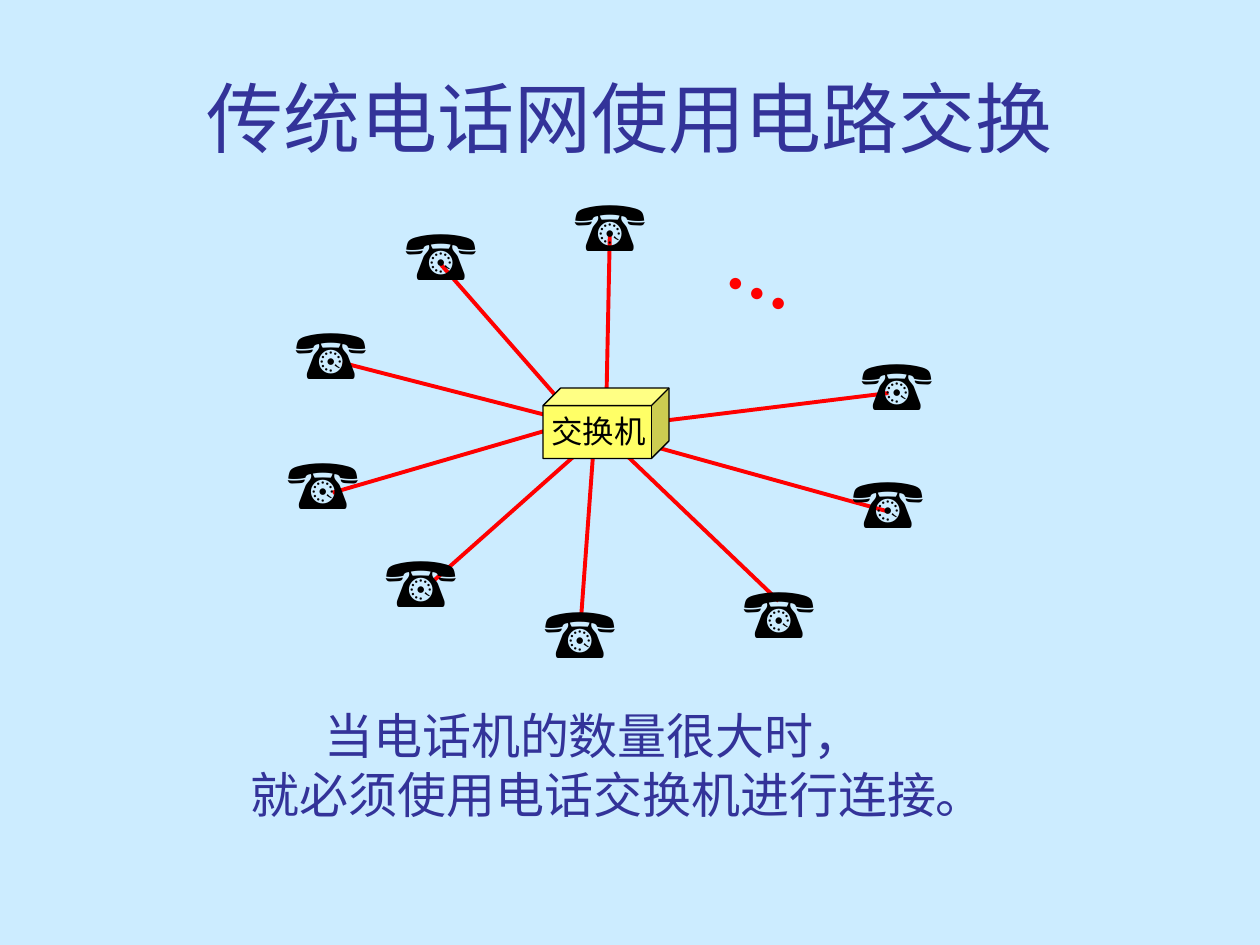
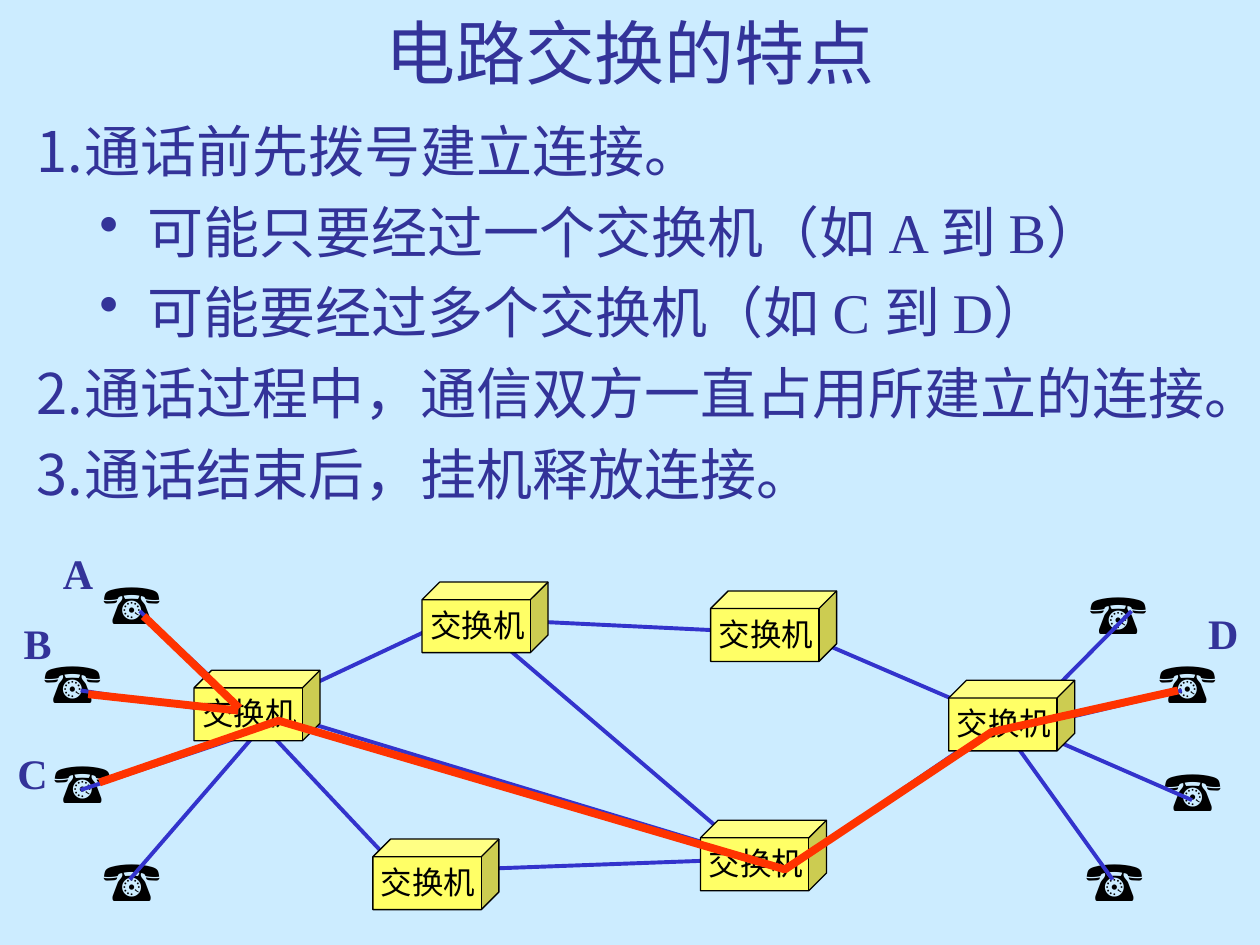
from dataclasses import dataclass

from lxml import etree
from pptx import Presentation
from pptx import util as u
from pptx.dml.color import RGBColor
from pptx.enum import shapes, text
from pptx.oxml.ns import qn

# Slide grid: 100 columns by 75 rows
SLIDE_WIDTH, SLIDE_HEIGHT = u.Inches(10), u.Inches(7.5)
COLUMN, ROW = SLIDE_WIDTH / 100, SLIDE_HEIGHT / 75

SKY = RGBColor(0xCC, 0xEC, 0xFF)
INDIGO = RGBColor(0x33, 0x33, 0x99)
BLACK = RGBColor(0, 0, 0)
YELLOW = RGBColor(0xFF, 0xFF, 0x66)
RED = RGBColor(0xFF, 0, 0)
BLUE = RGBColor(0x33, 0x33, 0xCC)
ORANGE = RGBColor(0xFF, 0x33, 0x00)

SANS, SERIF, BOOK = "Arial", "Times New Roman", "TeX Gyre Bonum"
LINE_WIDTH, CIRCUIT_WIDTH = 2.25, 4.5
PHONE_SIZES = {40: (9.2, 7.7), 32: (6.7, 6.4)}  # point size: columns, rows
SWITCH_SIZE = (10, 5.6)


@dataclass
class Box:
    """A region in columns and rows."""
    left: float
    top: float
    width: float
    height: float

    def inner(self, left, top, width, height):
        return Box(self.left + left, self.top + top, width, height)

    def point(self, column, row):
        return (u.Emu(round((self.left + column) * COLUMN)),
                u.Emu(round((self.top + row) * ROW)))

    def frame(self):
        return (*self.point(0, 0), u.Emu(round(self.width * COLUMN)),
                u.Emu(round(self.height * ROW)))


# Shared parts
def add_span(para, words, size, font, color, bold=False):
    span = para.add_run()
    span.text = words
    span.font.size = u.Pt(size)
    span.font.name = font
    span.font.bold = bold
    span.font.color.rgb = color


def add_words(parent, box, lines, size, font, color, bold=False,
              align=text.PP_ALIGN.LEFT):
    """Add an unwrapped text box with one paragraph for each line."""
    label = parent.add_textbox(*box.frame())
    frame = label.text_frame
    frame.word_wrap = False
    frame.auto_size = text.MSO_AUTO_SIZE.SHAPE_TO_FIT_TEXT
    for index, line in enumerate(lines):
        para = frame.add_paragraph() if index else frame.paragraphs[0]
        para.alignment = align
        add_span(para, line, size, font, color, bold)
    return label


def add_title(page, box, words, size):
    title = add_words(page.shapes, box, [words], size, SANS, INDIGO,
                      align=text.PP_ALIGN.CENTER)
    title.text_frame.auto_size = text.MSO_AUTO_SIZE.NONE
    title.text_frame.word_wrap = True
    title.text_frame.vertical_anchor = text.MSO_ANCHOR.MIDDLE


def add_lines(page, box, ends, color):
    for start, end in ends:
        line = page.shapes.add_connector(
            shapes.MSO_CONNECTOR.STRAIGHT, *box.point(*start), *box.point(*end))
        line.line.color.rgb = color
        line.line.width = u.Pt(LINE_WIDTH)
        etree.SubElement(line._element.spPr, qn("a:effectLst"))


def add_phones(page, box, corners, size):
    for corner in corners:
        add_words(page.shapes, box.inner(*corner, *PHONE_SIZES[size]), ["☎"],
                  size, SANS, BLACK)


def add_switch(page, box, corner):
    """Add a labelled cube as one group."""
    group = page.shapes.add_group_shape().shapes
    body = box.inner(*corner, *SWITCH_SIZE)
    cube = group.add_shape(shapes.MSO_SHAPE.CUBE, *body.frame())
    cube.shadow.inherit = False
    cube.fill.solid()
    cube.fill.fore_color.rgb = YELLOW
    cube.line.color.rgb = BLACK
    cube.line.width = u.Pt(0.75)
    add_words(group, body.inner(-0.35, 1.4, 9.5, 4), ["交换机"], 18, SERIF, BLACK)


def add_circuit(page, box, stops):
    """Trace one connection as a thick open path."""
    first, *rest = [box.point(*stop) for stop in stops]
    builder = page.shapes.build_freeform(*first)
    builder.add_line_segments(rest, close=False)
    circuit = builder.convert_to_shape()
    circuit.shadow.inherit = False
    circuit.fill.background()
    circuit.line.color.rgb = ORANGE
    circuit.line.width = u.Pt(CIRCUIT_WIDTH)


def add_page(deck):
    page = deck.slides.add_slide(deck.slide_layouts[6])
    page.background.fill.solid()
    page.background.fill.fore_color.rgb = SKY
    return page


# Telephones around one switch
def add_star(page, box):
    phone_links = [  # phone corner, line end at phone, line end at switch
        ((24.6, 3.9), (28.4, 8.6), (28.1, 23.2)),
        ((11.2, 6.2), (15, 11), (25.5, 23)),
        ((2.5, 14.1), (7.2, 18.8), (25.9, 23.6)),
        ((1.8, 24.4), (6.4, 29.1), (25.3, 23.6)),
        ((9.6, 32.2), (14.3, 36.2), (27.6, 24.4)),
        ((22.2, 36.2), (26.1, 39.3), (27.2, 24.3)),
        ((38, 34.6), (41.8, 37.7), (27.8, 24.3)),
        ((46.7, 25.9), (50.5, 30.6), (28.5, 24.5)),
        ((47.4, 16.5), (50.5, 21.2), (30.2, 23.7)),
    ]
    add_lines(page, box, [ends for _, *ends in phone_links], RED)
    add_phones(page, box, [corner for corner, *_ in phone_links], 40)
    more = add_words(page.shapes, box.inner(37.1, 7.8, 7.5, 7.7), ["…"],
                     40, SERIF, RED, bold=True)
    more.rotation = 24.9
    add_switch(page, box, (23.1, 20.8))


# Numbered features with bulleted cases
def add_features(page, box):
    features = [
        (0, "通话前先拨号建立连接。"),
        (1, "可能只要经过一个交换机（如 A 到 B）"),
        (1, "可能要经过多个交换机（如 C 到 D）"),
        (0, "通话过程中，通信双方一直占用所建立的连接。"),
        (0, "通话结束后，挂机释放连接。"),
    ]
    marks = [("a:buAutoNum", "type", "arabicPeriod"), ("a:buChar", "char", "•")]
    label = add_words(page.shapes, box, [words for _, words in features],
                      32, SERIF, INDIGO)
    label.text_frame.word_wrap = True
    for para, (level, _) in zip(label.text_frame.paragraphs, features):
        para.level = level
        para.line_spacing = 1.2
        properties = para._p.get_or_add_pPr()
        properties.set("marL", str(u.Inches(0.38 + 0.5 * level)))
        properties.set("indent", str(-u.Inches(0.38)))
        mark_color = etree.SubElement(properties, qn("a:buClr"))
        etree.SubElement(mark_color, qn("a:srgbClr"), val=str(INDIGO))
        tag, key, value = marks[level]
        etree.SubElement(properties, qn(tag)).set(key, value)


# Network of switches with three circuits in use
def add_network(page, box):
    trunks = [
        ((22.1, 15.6), (35.5, 9.3)), ((41.8, 9.3), (58.4, 10.1)),
        ((63.1, 10.1), (79.6, 17.2)), ((20.5, 17.2), (31.6, 29)),
        ((37.1, 29), (59.1, 28.2)), ((38.7, 10.1), (59.9, 28.2)),
        ((62.3, 29), (79.6, 17.2)), ((21.3, 16.4), (57.6, 27.4)),
    ]
    phones = [
        (7.2, 4.6), (2.5, 10.9), (3.3, 18.8), (7.2, 26.6),
        (85.5, 5.4), (91, 10.9), (91.4, 19.5), (85.2, 26.6),
    ]
    phone_lines = [
        ((18.9, 15.8), (11.1, 8.5)), ((6.4, 14.8), (22.2, 17.2)),
        ((6.4, 22.7), (20.5, 18)), ((10.3, 29.8), (20.5, 18)),
        ((89.8, 8.5), (80.4, 18)), ((80.4, 18), (93.8, 14.8)),
        ((82, 18), (94.6, 23.5)), ((80.4, 18.8), (88.3, 29.8)),
    ]
    switches = [(55.6, 25.1), (29.6, 26.6), (33.5, 6.2), (56.4, 6.9),
                (15.4, 13.2), (75.3, 14)]
    names = {"A": (4, 3), "B": (0.9, 8.5), "C": (0.4, 18.8), "D": (94.9, 7.7)}
    circuits = [
        [(7.9, 22.1), (22.1, 17.2), (62.3, 29), (78.7, 18.1), (93.5, 14.8)],
        [(11.4, 8.9), (19, 16.2)],
        [(18.9, 16.4), (7, 15.1)],
    ]
    add_lines(page, box, trunks, BLUE)
    add_phones(page, box, phones, 32)
    add_lines(page, box, phone_lines, BLUE)
    for corner in switches:
        add_switch(page, box, corner)
    for name, corner in names.items():
        add_words(page.shapes, box.inner(*corner, 4.4, 5), [name],
                  24, SERIF, INDIGO, bold=True)
    for stops in circuits:
        add_circuit(page, box, stops)


# Slides
def build_star_page(deck):
    page = add_page(deck)
    add_star(page, Box(20, 10, 60, 45))
    add_words(page.shapes, Box(17, 55.5, 60.2, 10.4),
              ["当电话机的数量很大时，", "就必须使用电话交换机进行连接。"],
              28, BOOK, INDIGO, align=text.PP_ALIGN.CENTER)
    add_title(page, Box(5, 3, 90, 12.5), "传统电话网使用电路交换", 44)


def build_features_page(deck):
    page = add_page(deck)
    add_title(page, Box(5, -0.3, 90, 8.7), "电路交换的特点", 40)
    add_features(page, Box(1.9, 7.7, 99.2, 33))
    add_network(page, Box(0, 40, 100, 35))


def main():
    deck = Presentation()
    deck.slide_width, deck.slide_height = SLIDE_WIDTH, SLIDE_HEIGHT
    build_star_page(deck)
    build_features_page(deck)
    deck.save("out.pptx")


if __name__ == "__main__":
    main()
